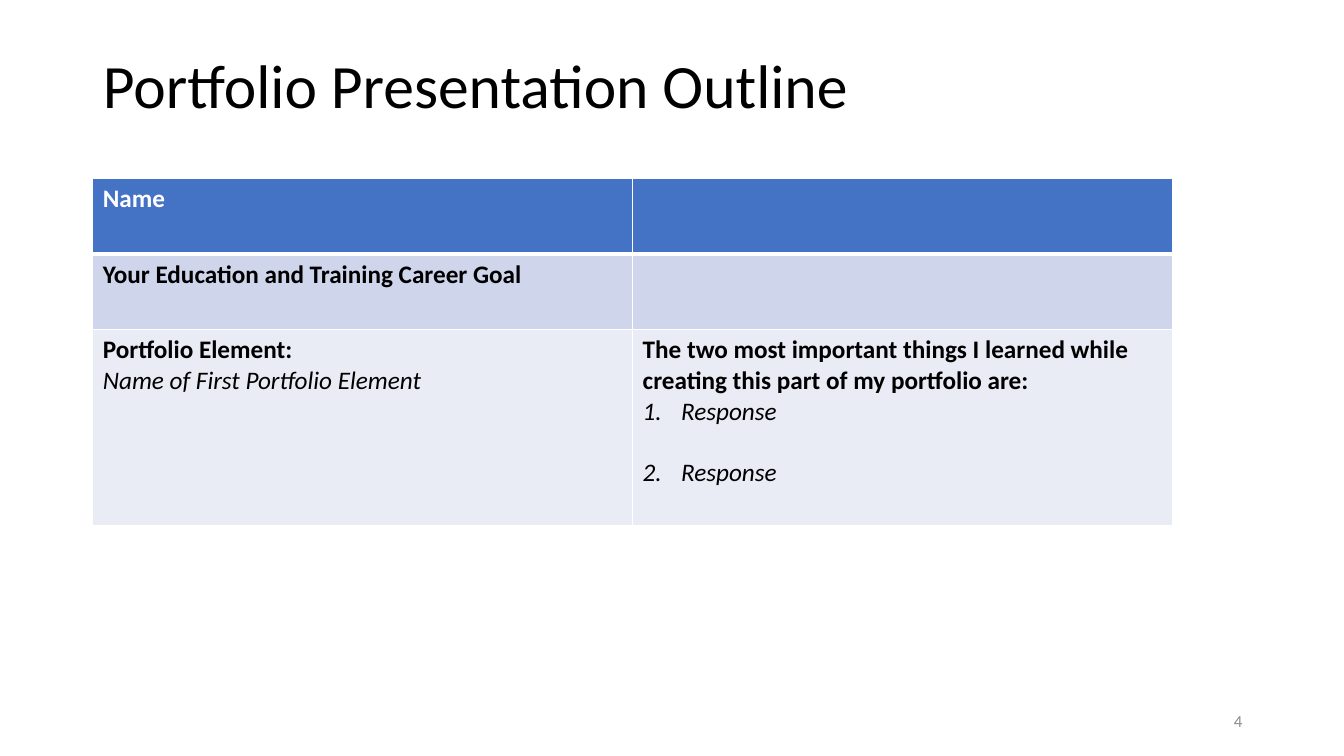
import lxml.etree
import pptx
import pptx.dml.color
import pptx.enum.text
import pptx.oxml
import pptx.oxml.ns
import pptx.util

Inches = pptx.util.Inches
Pt = pptx.util.Pt
ALIGN = pptx.enum.text.PP_ALIGN
MIDDLE = pptx.enum.text.MSO_ANCHOR.MIDDLE

HEADER_ROW = 0
ROW_FILLS = ["4472C4", "CFD5EA", "E9EBF5"]
ROW_HEIGHTS = [0.75, 0.75, 1.94]
COLUMN_WIDTH = 5.355
OUTLINE_ROWS = [
    [[("Name", "bold")], []],
    [[("Your Education and Training Career Goal", "bold")], []],
    [
        [("Portfolio Element:", "bold"), ("Name of First Portfolio Element", "italic")],
        [
            ("The two most important things I learned while creating "
             "this part of my portfolio are:", "bold"),
            ("Response", "numbered"),
            ("Response", "numbered"),
        ],
    ],
]


def rgb(color):
    """Turn a hex string into a colour."""
    return pptx.dml.color.RGBColor.from_string(color)


def format_font(paragraph, size, color, bold=False, italic=False):
    """Set the font of a whole paragraph."""
    font = paragraph.font
    font.name = "Calibri"
    font.size = Pt(size)
    font.color.rgb = rgb(color)
    font.bold = bold
    font.italic = italic


def add_title(slide, text):
    """Fill and place the title placeholder."""
    title = slide.shapes.title
    title.left, title.top = Inches(0.92), Inches(0.15)
    title.width, title.height = Inches(11.5), Inches(1.45)
    frame = title.text_frame
    frame.text = text
    frame.vertical_anchor = MIDDLE
    paragraph = frame.paragraphs[0]
    paragraph.alignment = ALIGN.LEFT
    paragraph.line_spacing = 0.9
    format_font(paragraph, 44, "000000")


def add_page_number(slide, number):
    """Add the page number at the bottom right."""
    box = slide.shapes.add_textbox(Inches(9.42), Inches(6.95), Inches(3), Inches(0.4))
    frame = box.text_frame
    frame.word_wrap = True
    frame.vertical_anchor = MIDDLE
    frame.text = number
    paragraph = frame.paragraphs[0]
    paragraph.alignment = ALIGN.RIGHT
    format_font(paragraph, 12, "8C8C8C")


def number_paragraph(paragraph):
    """Give a paragraph a hanging automatic number."""
    properties = paragraph._p.get_or_add_pPr()
    properties.set("marL", str(Inches(0.38)))
    properties.set("indent", str(-Inches(0.38)))
    bullet = lxml.etree.SubElement(properties, pptx.oxml.ns.qn("a:buAutoNum"))
    bullet.set("type", "arabicPeriod")


def set_borders(cell, widths):
    """Draw white borders, with widths in points keyed by side."""
    properties = cell._tc.get_or_add_tcPr()
    for position, (side, width) in enumerate(widths.items()):
        line = pptx.oxml.parse_xml(
            f'<a:ln{side} {pptx.oxml.ns.nsdecls("a")} w="{Pt(width)}">'
            '<a:solidFill><a:srgbClr val="FFFFFF"/></a:solidFill>'
            f'</a:ln{side}>'
        )
        properties.insert(position, line)


def fill_cell(cell, lines, color):
    """Write the styled lines of one cell."""
    frame = cell.text_frame
    frame.text = "\n".join(text for text, style in lines)
    previous_style = None
    for paragraph, (text, style) in zip(frame.paragraphs, lines):
        if style == "numbered":
            if previous_style == "numbered":
                paragraph.space_before = Pt(22)
            number_paragraph(paragraph)
        format_font(paragraph, 18, color, style == "bold", style != "bold")
        previous_style = style


def add_outline_table(slide):
    """Add the portfolio outline table."""
    frame = slide.shapes.add_table(
        len(OUTLINE_ROWS), 2, Inches(0.92), Inches(1.77),
        Inches(2 * COLUMN_WIDTH), Inches(sum(ROW_HEIGHTS)),
    )
    table = frame.table
    for column in table.columns:
        column.width = Inches(COLUMN_WIDTH)
    for index, cells in enumerate(OUTLINE_ROWS):
        table.rows[index].height = Inches(ROW_HEIGHTS[index])
        text_color = "FFFFFF" if index == HEADER_ROW else "000000"
        top = 3 if index == HEADER_ROW + 1 else 1
        bottom = 3 if index == HEADER_ROW else 1
        for cell, lines in zip(table.rows[index].cells, cells):
            cell.fill.solid()
            cell.fill.fore_color.rgb = rgb(ROW_FILLS[index])
            set_borders(cell, {"L": 1, "R": 1, "T": top, "B": bottom})
            fill_cell(cell, lines, text_color)


def main():
    """Build and save the slide."""
    presentation = pptx.Presentation()
    presentation.slide_width = Inches(13.33)
    presentation.slide_height = Inches(7.5)
    slide = presentation.slides.add_slide(presentation.slide_layouts[5])
    add_title(slide, "Portfolio Presentation Outline")
    add_page_number(slide, "4")
    add_outline_table(slide)
    presentation.save("out.pptx")


if __name__ == "__main__":
    main()
